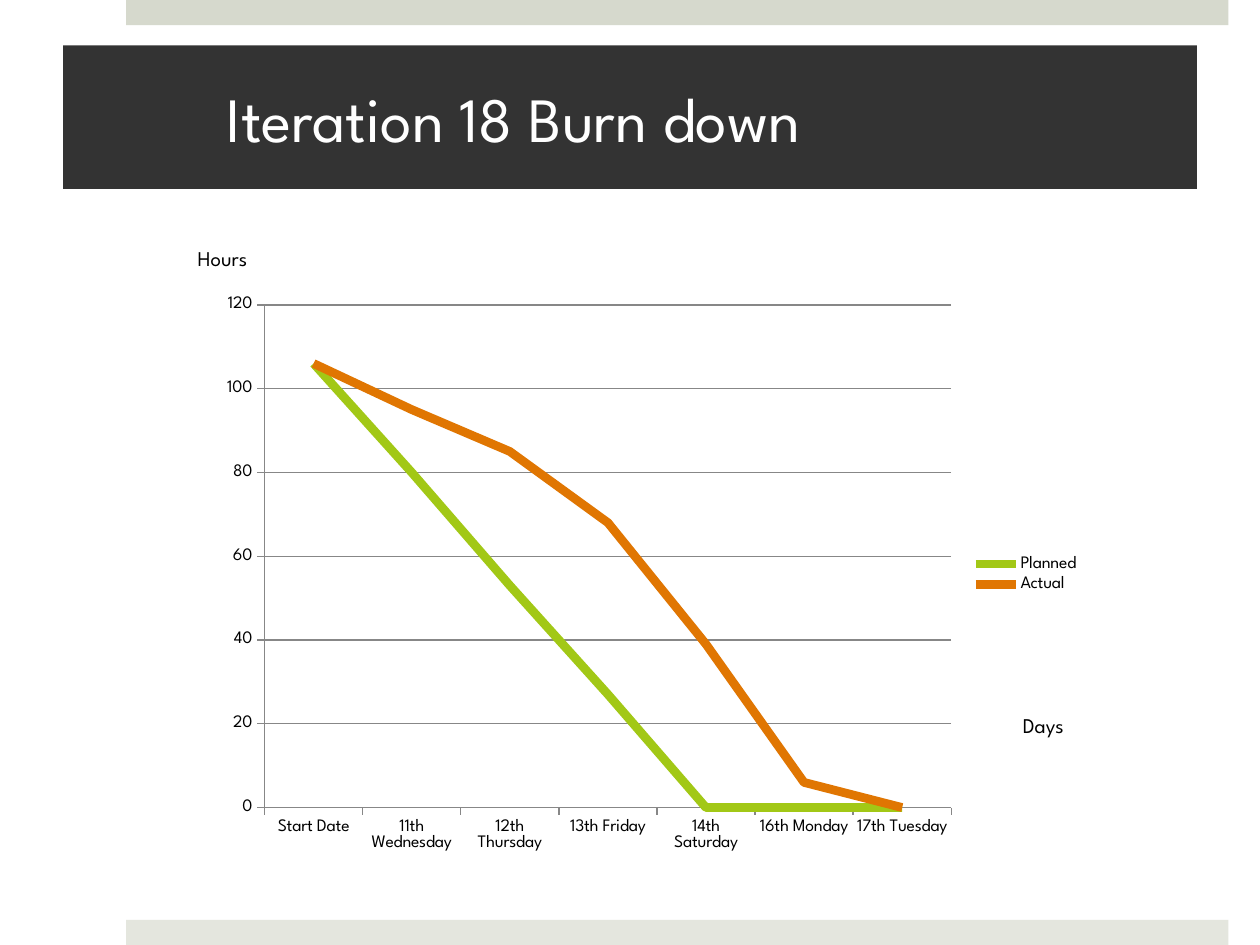
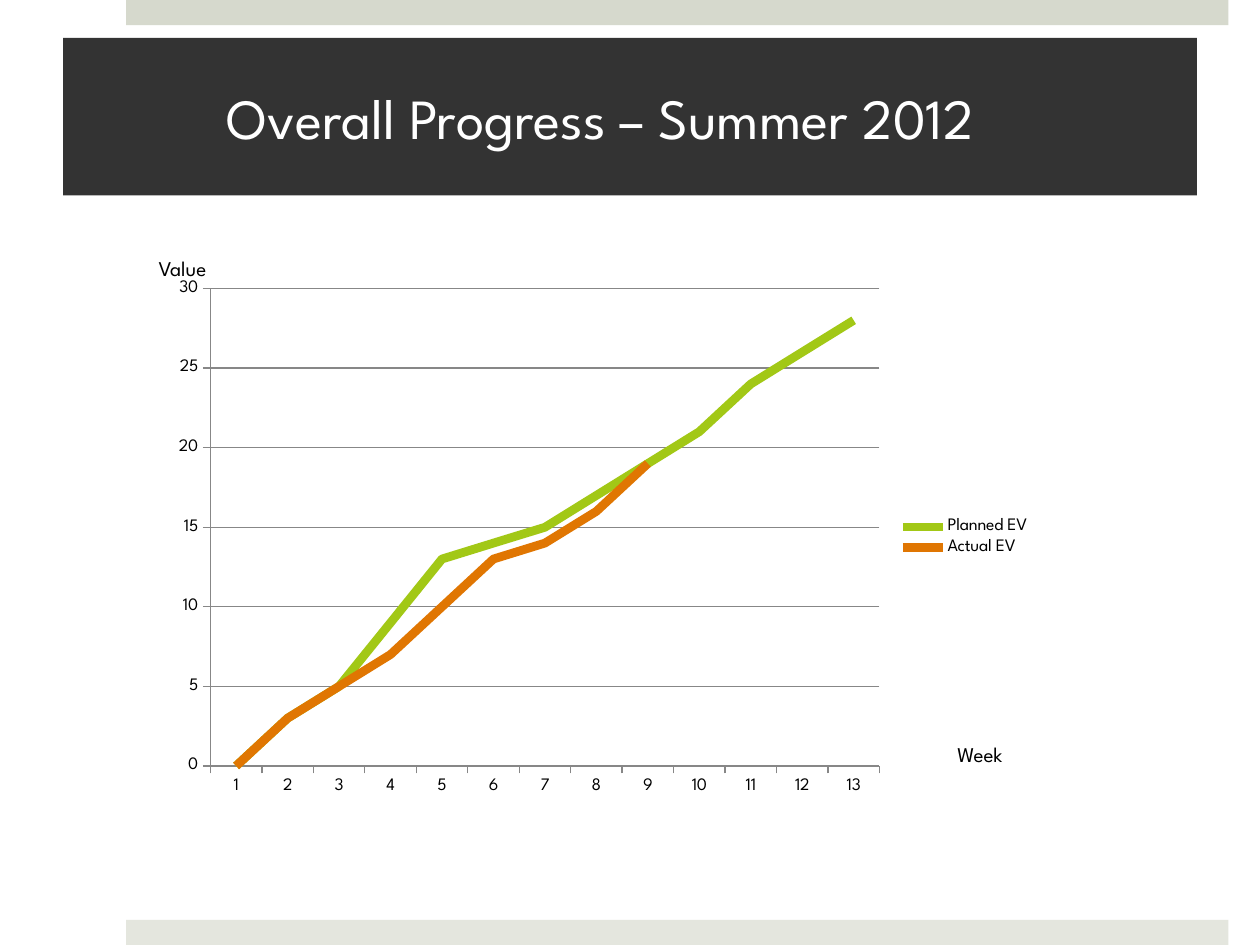
from lxml import etree
from pptx import Presentation
from pptx.chart.data import CategoryChartData
from pptx.dml.color import RGBColor
from pptx.enum.chart import XL_CHART_TYPE, XL_LEGEND_POSITION, XL_TICK_MARK
from pptx.enum.shapes import MSO_SHAPE
from pptx.enum.text import MSO_ANCHOR, MSO_AUTO_SIZE, PP_ALIGN
from pptx.oxml.ns import qn
from pptx.util import Inches, Pt

LINE = XL_CHART_TYPE.LINE
RIGHT = XL_LEGEND_POSITION.RIGHT
OUT, NONE = XL_TICK_MARK.OUTSIDE, XL_TICK_MARK.NONE
RECT = MSO_SHAPE.RECTANGLE
MIDDLE = MSO_ANCHOR.MIDDLE
LEFT = PP_ALIGN.LEFT
GROW = MSO_AUTO_SIZE.SHAPE_TO_FIT_TEXT

FONT = "League Spartan"
COLORS = {
    "top": "D6D9CD", "foot": "E4E6DE", "title": "333333",
    "white": "FFFFFF", "text": "000000", "grid": "878787",
    "plan": "A2C816", "real": "E07602",
}

# Content: boxes are left, top, width, height in inches
BANDS = [("top", 0), ("foot", 7.3)]
SLIDES = [
    {
        "title": "Iteration 18 Burn down", "size": 36,
        "band": (0.5, 0.36, 9, 1.14),
        "labels": [("Hours", (1.47, 1.9, 0.61, 0.3)),
                   ("Days", (8.02, 5.61, 0.54, 0.3))],
        "chart": (1.67, 2.27, 7, 4.58),
        "plot": (2.1, 2.42, 5.45, 3.99),
        "top": 120, "step": 20,
        "cats": ["Start Date", "11th Wednesday", "12th Thursday", "13th Friday",
                 "14th Saturday", "16th Monday", "17th Tuesday"],
        "series": [("Planned", "plan", [106, 80, 53, 27, 0, 0, 0]),
                   ("Actual", "real", [106, 95, 85, 68, 39, 6, 0])],
    },
    {
        "title": "Overall Progress – Summer 2012", "size": 32.4,
        "band": (0.5, 0.3, 9, 1.25),
        "labels": [("Week", (7.5, 5.84, 0.6, 0.3)),
                   ("Value", (1.16, 1.98, 0.59, 0.3))],
        "chart": (1.28, 2.14, 7, 4.25),
        "plot": (1.67, 2.29, 5.31, 3.79),
        "top": 30, "step": 5,
        "cats": [str(week) for week in range(1, 14)],
        "series": [
            ("Planned EV", "plan", [0, 3, 5, 9, 13, 14, 15, 17, 19, 21, 24, 26, 28]),
            ("Actual EV", "real", [0, 3, 5, 7, 10, 13, 14, 16, 19] + [None] * 4),
        ],
    },
]


def color(key):
    return RGBColor.from_string(COLORS[key])


def inches(box):
    return [Inches(n) for n in box]


def style(font, size, key):
    font.name, font.size = FONT, Pt(size)
    font.color.rgb = color(key)


def paint(shape, key):
    shape.fill.solid()
    shape.fill.fore_color.rgb = color(key)
    shape.line.fill.background()


def add_bands(slide, layout):
    """Draw the bands and hand them to the shared layout."""
    for key, top in BANDS:
        band = slide.shapes.add_shape(RECT, *inches((1, top, 8.75, 0.2)))
        paint(band, key)
        band.shadow.inherit = False
        layout.shapes.element.insert(2, band.element)


def set_title(slide, page):
    title = slide.shapes.title
    title.left, title.top, title.width, title.height = inches(page["band"])
    paint(title, "title")
    frame = title.text_frame
    frame.text = page["title"]
    frame.vertical_anchor = MIDDLE
    frame.margin_left, frame.margin_right = Inches(1.3), Inches(0.3)
    frame.margin_top = frame.margin_bottom = Inches(0.05)
    para = frame.paragraphs[0]
    para.alignment = LEFT
    style(para.runs[0].font, page["size"], "white")


def add_label(slide, text, box):
    frame = slide.shapes.add_textbox(*inches(box)).text_frame
    frame.text = text
    frame.word_wrap = False
    frame.auto_size = GROW
    style(frame.paragraphs[0].runs[0].font, 12, "text")


def place_plot(chart, outer, plot):
    """Fix the inner plot area as fractions of the chart frame."""
    area = chart.element.find(".//" + qn("c:plotArea"))
    old = area.find(qn("c:layout"))
    if old is not None:
        area.remove(old)
    layout = etree.Element(qn("c:layout"))
    area.insert(0, layout)
    manual = etree.SubElement(layout, qn("c:manualLayout"))
    x, y, wide, high = outer
    parts = [("layoutTarget", "inner"), ("xMode", "edge"), ("yMode", "edge"),
             ("x", (plot[0] - x) / wide), ("y", (plot[1] - y) / high),
             ("w", plot[2] / wide), ("h", plot[3] / high)]
    for tag, val in parts:
        etree.SubElement(manual, qn("c:" + tag)).set("val", str(val))


def add_graph(slide, page):
    data = CategoryChartData()
    data.categories = page["cats"]
    for name, _, vals in page["series"]:
        data.add_series(name, vals)
    chart = slide.shapes.add_chart(LINE, *inches(page["chart"]), data).chart
    style(chart.font, 10, "text")
    chart.has_title = False
    chart.has_legend = True
    chart.legend.position = RIGHT
    chart.legend.include_in_layout = False

    # Axes and grid
    hours, days = chart.value_axis, chart.category_axis
    hours.minimum_scale, hours.maximum_scale = 0, page["top"]
    hours.major_unit = page["step"]
    hours.has_major_gridlines = True
    hours.tick_labels.number_format = "General"
    hours.tick_labels.number_format_is_linked = False
    for axis in (hours, days):
        axis.major_tick_mark, axis.minor_tick_mark = OUT, NONE
    for part in (hours, days, hours.major_gridlines):
        part.format.line.color.rgb = color("grid")
        part.format.line.width = Pt(0.75)

    # Series lines
    plot = chart.plots[0]
    plot.vary_by_categories = False
    for line, (_, key, _) in zip(plot.series, page["series"]):
        line.smooth = False
        line.format.line.color.rgb = color(key)
        line.format.line.width = Pt(5)
    place_plot(chart, page["chart"], page["plot"])


def main():
    deck = Presentation()
    deck.slide_width, deck.slide_height = Inches(10), Inches(7.5)
    layout = deck.slide_layouts[5]
    for page in SLIDES:
        slide = deck.slides.add_slide(layout)
        set_title(slide, page)
        for text, box in page["labels"]:
            add_label(slide, text, box)
        add_graph(slide, page)
    add_bands(slide, layout)
    deck.save("out.pptx")


if __name__ == "__main__":
    main()
